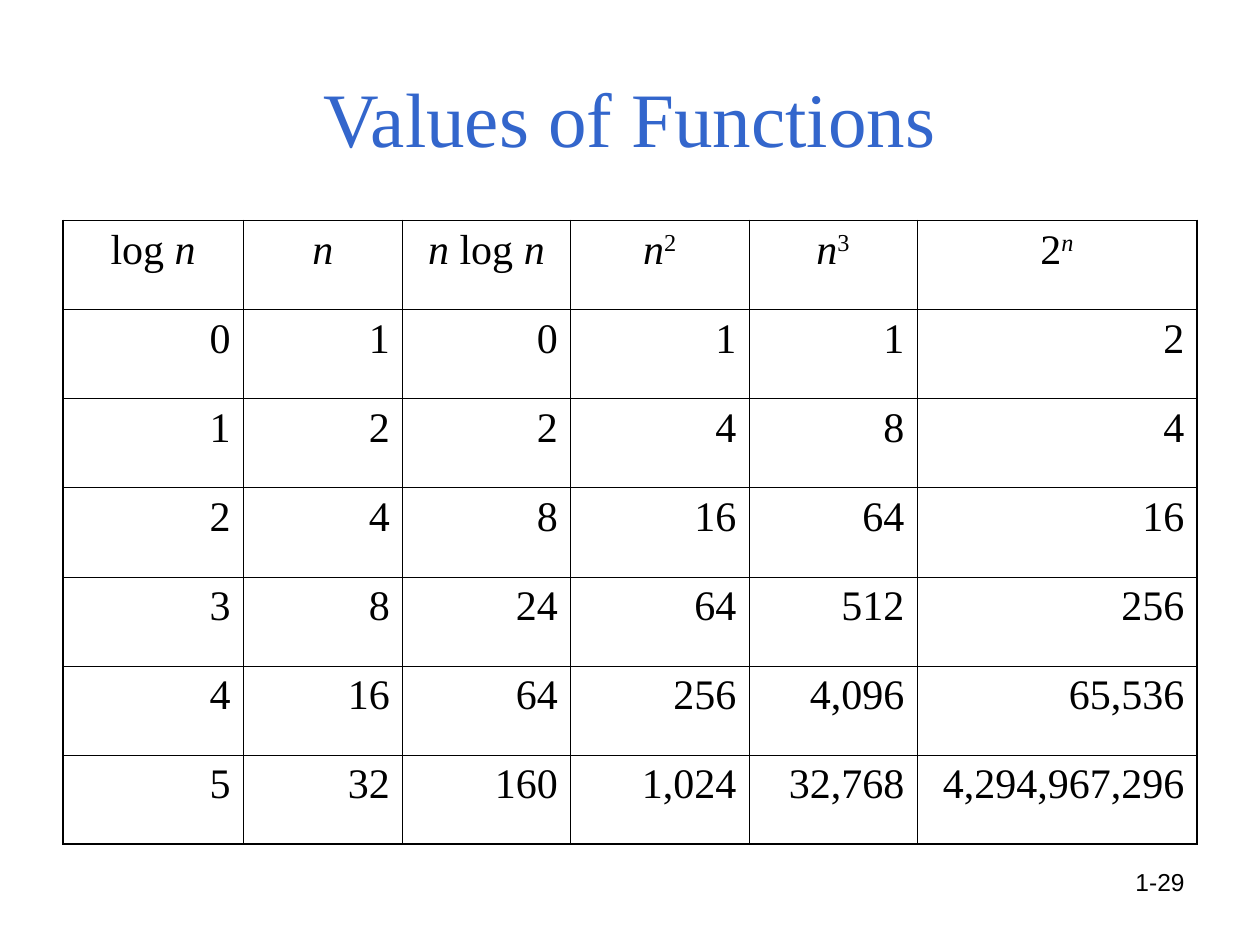
from lxml.etree import SubElement
from pptx import Presentation
from pptx.dml.color import RGBColor
from pptx.enum.text import MSO_ANCHOR, PP_ALIGN
from pptx.oxml import parse_xml
from pptx.oxml.ns import nsdecls
from pptx.util import Pt

COLORS = {"title": "3366CC", "text": "000000", "border": "000000"}
SERIF = "Times New Roman"


def add_run(p, text, size=24, font=SERIF, color="text", italic=False, raised=False):
    r = p.add_run()
    r.text = text
    r.font.size = Pt(size)
    r.font.name = font
    r.font.italic = italic
    r.font.color.rgb = RGBColor.from_string(COLORS[color])
    if raised:
        r.font._element.set("baseline", "30000")


def set_borders(cell, widths):
    tc_pr = cell._tc.get_or_add_tcPr()
    for i, (side, width) in enumerate(zip("LRTB", widths)):
        ln = parse_xml(f'<a:ln{side} {nsdecls("a")} w="{Pt(width)}"><a:solidFill>'
                       f'<a:srgbClr val="{COLORS["border"]}"/></a:solidFill></a:ln{side}>')
        tc_pr.insert(i, ln)


prs = Presentation()
prs.slide_width, prs.slide_height = Pt(720), Pt(540)
s = prs.slides.add_slide(prs.slide_layouts[5])

title = s.shapes.title
title.left, title.top, title.width, title.height = Pt(36), Pt(21.6), Pt(648), Pt(90)
title.text_frame.vertical_anchor = MSO_ANCHOR.MIDDLE
p = title.text_frame.paragraphs[0]
p.alignment = PP_ALIGN.CENTER
add_run(p, "Values of Functions", size=44, color="title")

n = ("n", {"italic": True})
headers = [
    [("log ", {}), n],
    [n],
    [n, (" log ", {}), n],
    [n, ("2", {"raised": True})],
    [n, ("3", {"raised": True})],
    [("2", {}), ("n", {"italic": True, "raised": True})],
]
rows = [headers]
for log_n in range(6):
    size = 2 ** log_n
    values = [log_n, size, size * log_n, size ** 2, size ** 3, 2 ** size]
    rows.append([[(f"{value:,}", {})] for value in values])

col_widths = [103, 91, 96, 102, 96, 160]
last_row, last_col = len(rows) - 1, len(col_widths) - 1
frame = s.shapes.add_table(len(rows), len(col_widths), Pt(36), Pt(126), Pt(648), Pt(356.4))
table = frame.table
table.first_row = False
table.horz_banding = False
for col, width in zip(table.columns, col_widths):
    col.width = Pt(width)

for i, row in enumerate(rows):
    for j, runs in enumerate(row):
        cell = table.cell(i, j)
        cell.fill.background()
        outer = (j == 0, j == last_col, i == 0, i == last_row)
        set_borders(cell, [1.08 if edge else 0.45 for edge in outer])
        p = cell.text_frame.paragraphs[0]
        p.alignment = PP_ALIGN.RIGHT if i else PP_ALIGN.CENTER
        for text, style in runs:
            add_run(p, text, **style)

number = s.shapes.add_textbox(Pt(516), Pt(492), Pt(168), Pt(37.5))
number.text_frame.word_wrap = True
p = number.text_frame.paragraphs[0]
p.alignment = PP_ALIGN.RIGHT
add_run(p, "1-29", size=14, font="Arial")

prs.save("out.pptx")
